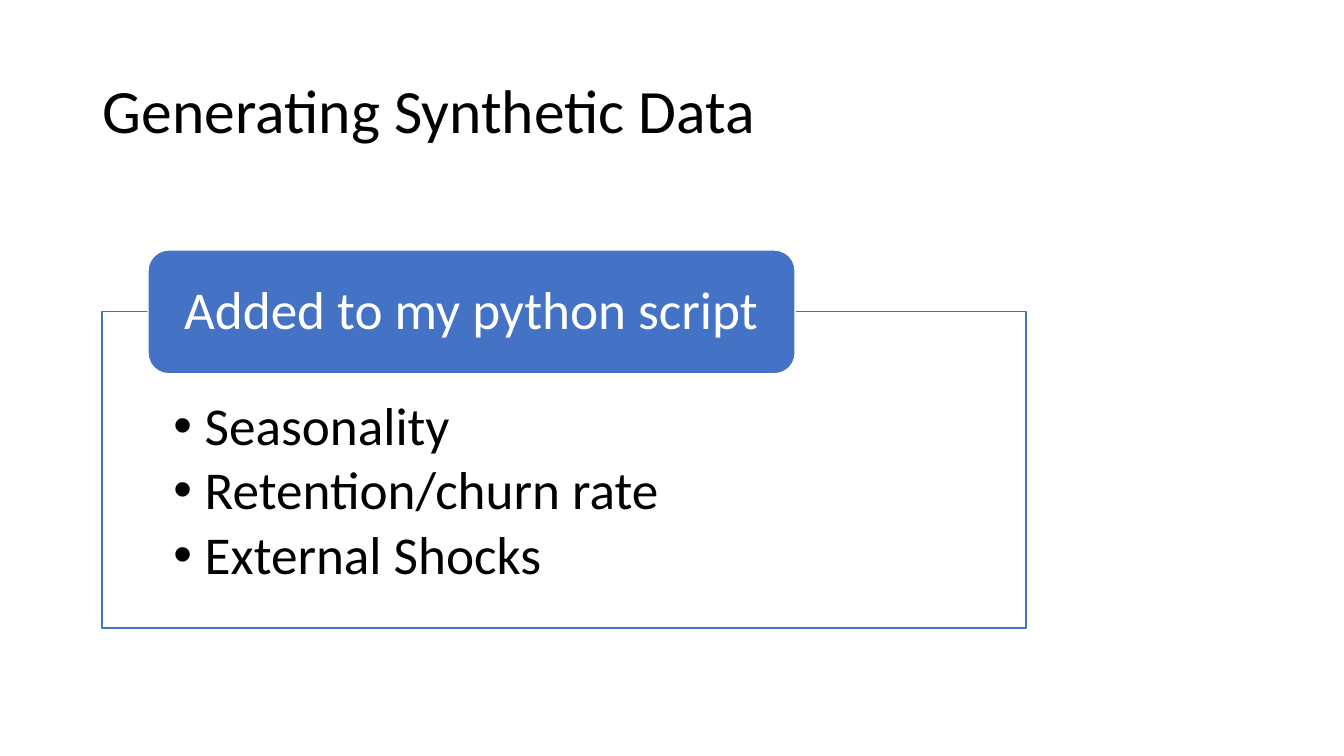
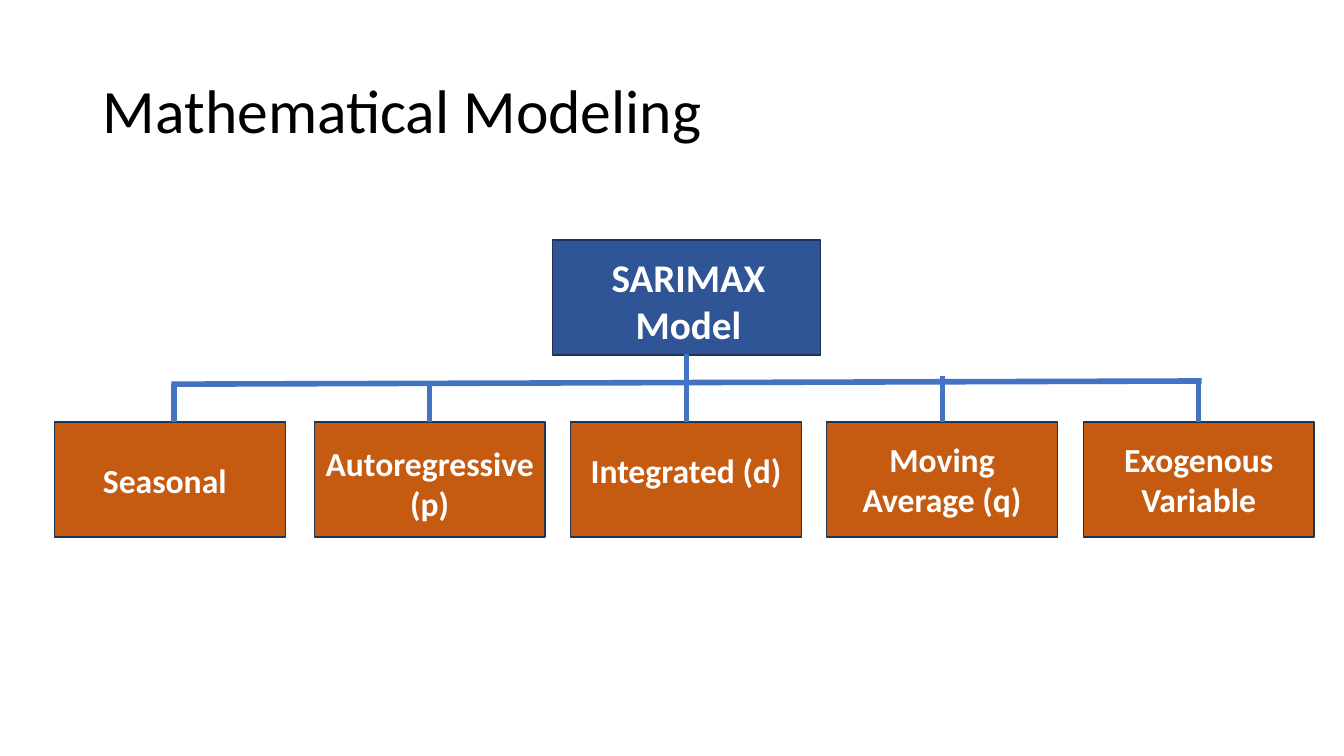
from dataclasses import dataclass
from typing import Any

from lxml.etree import SubElement
from pptx import Presentation
from pptx.dml.color import RGBColor
from pptx.enum.shapes import MSO_CONNECTOR as Connector, MSO_SHAPE as Preset
from pptx.enum.text import MSO_ANCHOR as Anchor, MSO_AUTO_SIZE as AutoSize, PP_ALIGN as Align
from pptx.oxml.ns import qn
from pptx.util import Cm, Pt

FONT = "Calibri"
BLACK, WHITE = "000000", "FFFFFF"
BLUE, NAVY, OUTLINE, ORANGE = "4472C4", "2F5597", "1E3256", "C55A11"
CARD_TOP, CARD_WIDTH, CARD_HEIGHT = 10.63, 5.82, 2.9


@dataclass(frozen=True)
class TextStyle:
    size: float
    color: str = WHITE
    bold: bool = False
    align: Align = Align.LEFT
    anchor: Anchor = Anchor.TOP
    line_spacing: float = 1.0
    space_after: float = 0
    bullet: bool = False


@dataclass(frozen=True)
class Box:
    left: float
    top: float
    width: float
    height: float
    fill: str
    line: str
    lines: tuple[str, ...]
    style: TextStyle
    insets: tuple[float, float, float, float]
    preset: Preset = Preset.RECTANGLE


@dataclass(frozen=True)
class Card:
    left: float
    text_top: float
    lines: tuple[str, ...]
    right_inset: float = 0.25


@dataclass(frozen=True)
class Link:
    start: tuple[float, float]
    end: tuple[float, float]


TITLE = TextStyle(44, BLACK, anchor=Anchor.MIDDLE, line_spacing=0.9)
LABEL = TextStyle(38, anchor=Anchor.MIDDLE, line_spacing=0.9)
BULLETS = TextStyle(38, BLACK, line_spacing=0.9, space_after=5, bullet=True)
ROOT = TextStyle(28, bold=True, align=Align.CENTER)
LEAF = TextStyle(24, bold=True, align=Align.CENTER)

SCRIPT_BOXES = (
    Box(2.57, 7.85, 23.29, 7.98, WHITE, BLUE,
        ("Seasonality", "Retention/churn rate", "External Shocks"),
        BULLETS, (1.8, 2.21, 1.8, 0.76)),
    Box(3.73, 6.3, 16.31, 3.12, BLUE, WHITE, ("Added to my python script",),
        LABEL, (0.76, 0, 0.76, 0), Preset.ROUNDED_RECTANGLE),
)
MODEL_BOX = Box(13.92, 6.05, 6.76, 2.9, NAVY, OUTLINE, ("SARIMAX Model",),
                ROOT, (0.51, 0.33, 0.41, 0))
CARDS = (
    Card(1.37, 0.95, ("Seasonal",), 0.5),
    Card(7.92, 0.53, ("Autoregressive", "(p)")),
    Card(14.38, 0.7, ("Integrated (d)",)),
    Card(20.83, 0.43, ("Moving Average (q)",)),
    Card(27.3, 0.43, ("Exogenous Variable",)),
)
STEMS = ((4.39, 9.68), (10.82, 9.68), (17.3, 8.92), (23.75, 9.47), (30.2, 9.6))
LINKS = (
    Link((4.32, 9.68), (30.28, 9.6)),
    *(Link((x, top), (x, CARD_TOP)) for x, top in STEMS),
)


def rgb(value: str) -> RGBColor:
    return RGBColor.from_string(value)


def add_bullet(paragraph: Any) -> None:
    properties = paragraph._p.get_or_add_pPr()
    properties.set("marL", str(Cm(0.79)))
    properties.set("indent", str(-Cm(0.79)))
    SubElement(properties, qn("a:buFont"), typeface="Arial")
    SubElement(properties, qn("a:buChar"), char="•")


def write_text(shape: Any, lines: tuple[str, ...], style: TextStyle) -> None:
    frame = shape.text_frame
    frame.word_wrap = True
    frame.auto_size = AutoSize.NONE
    frame.vertical_anchor = style.anchor
    for index, text in enumerate(lines):
        paragraph = frame.add_paragraph() if index else frame.paragraphs[0]
        if style.bullet:
            add_bullet(paragraph)
        paragraph.alignment = style.align
        paragraph.line_spacing = style.line_spacing
        paragraph.space_before = Pt(0)
        paragraph.space_after = Pt(style.space_after)
        run = paragraph.add_run()
        run.text = text
        run.font.name = FONT
        run.font.size = Pt(style.size)
        run.font.bold = style.bold
        run.font.color.rgb = rgb(style.color)


def add_titled_slide(presentation: Any, title: str) -> Any:
    slide = presentation.slides.add_slide(presentation.slide_layouts[5])
    shape = slide.shapes.title
    shape.left, shape.top = Cm(2.34), Cm(1.02)
    shape.width, shape.height = Cm(29.21), Cm(3.68)
    write_text(shape, (title,), TITLE)
    return slide


def add_box(slide: Any, box: Box) -> None:
    shape = slide.shapes.add_shape(
        box.preset, Cm(box.left), Cm(box.top), Cm(box.width), Cm(box.height))
    shape.shadow.inherit = False
    shape.fill.solid()
    shape.fill.fore_color.rgb = rgb(box.fill)
    shape.line.color.rgb = rgb(box.line)
    shape.line.width = Pt(1)
    frame = shape.text_frame
    left, top, right, bottom = (Cm(inset) for inset in box.insets)
    frame.margin_left, frame.margin_top = left, top
    frame.margin_right, frame.margin_bottom = right, bottom
    write_text(shape, box.lines, box.style)


def add_card(slide: Any, card: Card) -> None:
    add_box(slide, Box(card.left, CARD_TOP, CARD_WIDTH, CARD_HEIGHT, ORANGE, OUTLINE,
                       card.lines, LEAF, (0.25, card.text_top, card.right_inset, 0)))


def add_link(slide: Any, link: Link) -> None:
    connector = slide.shapes.add_connector(
        Connector.STRAIGHT, *(Cm(value) for value in link.start + link.end))
    connector.line.color.rgb = rgb(BLUE)
    connector.line.width = Pt(4)
    SubElement(connector._element.spPr, qn("a:effectLst"))


def main() -> None:
    presentation = Presentation()
    presentation.slide_width, presentation.slide_height = Cm(33.87), Cm(19.05)

    data_slide = add_titled_slide(presentation, "Generating Synthetic Data")
    for box in SCRIPT_BOXES:
        add_box(data_slide, box)

    model_slide = add_titled_slide(presentation, "Mathematical Modeling")
    add_box(model_slide, MODEL_BOX)
    for card in CARDS:
        add_card(model_slide, card)
    for link in LINKS:
        add_link(model_slide, link)

    presentation.save("out.pptx")


if __name__ == "__main__":
    main()
